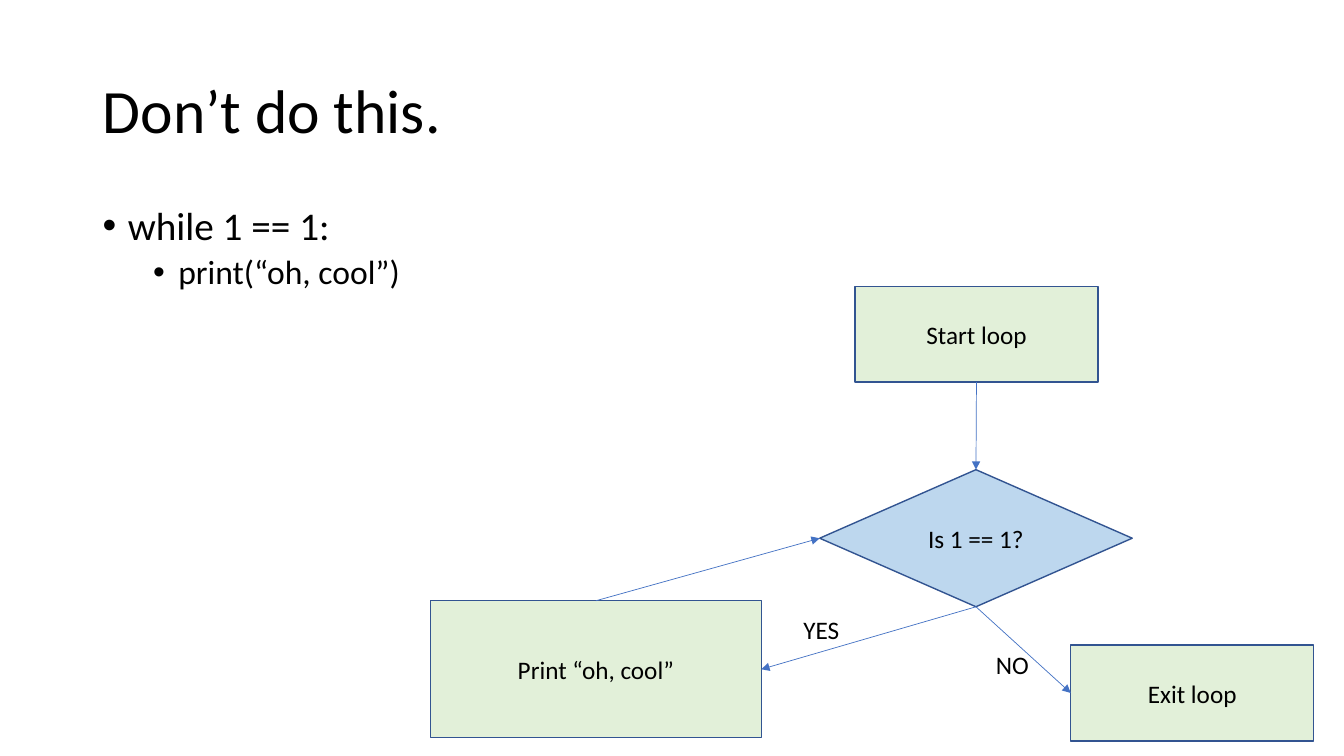
from lxml import etree
from pptx import Presentation
from pptx import util as u
from pptx.dml.color import RGBColor
from pptx.enum import shapes, text
from pptx.oxml.ns import qn

PX = 9144  # EMU in one px, 100 px to the inch
COLORS = {
    "text": "000000",
    "step": "E2F0D9",
    "decision": "BDD7EE",
    "outline": "325491",
    "arrow": "4472C4",
}
TOP, LEFT, BOTTOM, RIGHT = range(4)  # connection sites


def px(*lengths):
    return [u.Emu(length * PX) for length in lengths]


def rgb(name):
    return RGBColor.from_string(COLORS[name])


class FlowSlide:
    font = "Calibri"

    def __init__(self, deck):
        self.shapes = deck.slides.add_slide(deck.slide_layouts[6]).shapes

    def style(self, paragraph, size):
        for run in paragraph.runs:
            run.font.name = self.font
            run.font.size = u.Pt(size)
            run.font.color.rgb = rgb("text")

    def title(self, words, *box):
        frame = self.shapes.add_textbox(*px(*box)).text_frame
        frame.word_wrap = True
        frame.vertical_anchor = text.MSO_ANCHOR.MIDDLE
        frame.text = words
        frame.paragraphs[0].line_spacing = 0.9
        self.style(frame.paragraphs[0], 44)

    def bullets(self, items, *box):
        """Add a bulleted list; each item is (words, level)."""
        frame = self.shapes.add_textbox(*px(*box)).text_frame
        frame.word_wrap = True
        frame.text = "\n".join(words for words, _ in items)
        for paragraph, (_, level) in zip(frame.paragraphs, items):
            paragraph.level = level
            paragraph.line_spacing = 0.9
            paragraph.space_before = u.Pt(5 if level else 10)
            self.style(paragraph, 28 - 4 * level)
            indent, = px(25)
            props = paragraph._p.get_or_add_pPr()
            props.set("marL", str(indent * (1 + 2 * level)))
            props.set("indent", str(-indent))
            etree.SubElement(props, qn("a:buFont"), typeface="Arial")
            etree.SubElement(props, qn("a:buChar"), char="•")

    def label(self, words, *box):
        frame = self.shapes.add_textbox(*px(*box)).text_frame
        frame.word_wrap = False
        frame.auto_size = text.MSO_AUTO_SIZE.SHAPE_TO_FIT_TEXT
        frame.text = words
        self.style(frame.paragraphs[0], 18)

    def node(self, kind, fill, words, *box):
        node = self.shapes.add_shape(kind, *px(*box))
        node.shadow.inherit = False
        node.fill.solid()
        node.fill.fore_color.rgb = rgb(fill)
        node.line.color.rgb = rgb("outline")
        node.line.width = u.Pt(1)
        frame = node.text_frame
        frame.vertical_anchor = text.MSO_ANCHOR.MIDDLE
        frame.text = words
        frame.paragraphs[0].alignment = text.PP_ALIGN.CENTER
        self.style(frame.paragraphs[0], 18)
        return node

    def step(self, words, *box):
        return self.node(shapes.MSO_SHAPE.FLOWCHART_PROCESS, "step", words, *box)

    def decision(self, words, *box):
        return self.node(shapes.MSO_SHAPE.FLOWCHART_DECISION, "decision", words, *box)

    def arrow(self, source, source_site, target, target_site):
        arrow = self.shapes.add_connector(shapes.MSO_CONNECTOR.STRAIGHT, 0, 0, 0, 0)
        arrow.begin_connect(source, source_site)
        arrow.end_connect(target, target_site)
        arrow.line.color.rgb = rgb("arrow")
        arrow.line.width = u.Pt(0.5)
        etree.SubElement(arrow.line._get_or_add_ln(), qn("a:tailEnd"), type="triangle")
        etree.SubElement(arrow._element.spPr, qn("a:effectLst"))


def main():
    deck = Presentation()
    deck.slide_width, deck.slide_height = px(1333, 750)
    slide = FlowSlide(deck)

    slide.title("Don’t do this.", 92, 40, 1150, 145)
    slide.bullets([("while 1 == 1:", 0), ("print(“oh, cool”)", 1)], 92, 200, 328, 476)

    start = slide.step("Start loop", 848, 284, 241, 95)
    check = slide.decision("Is 1 == 1?", 813, 466, 310, 136)
    body = slide.step("Print “oh, cool”", 427, 596, 328, 136)
    leave = slide.step("Exit loop", 1062, 640, 241, 95)

    slide.arrow(start, BOTTOM, check, TOP)
    slide.arrow(check, BOTTOM, body, RIGHT)
    slide.arrow(body, TOP, check, LEFT)
    slide.arrow(check, BOTTOM, leave, LEFT)

    slide.label("YES", 787, 605, 56, 40)
    slide.label("NO", 978, 639, 53, 40)

    deck.save("out.pptx")


if __name__ == "__main__":
    main()
